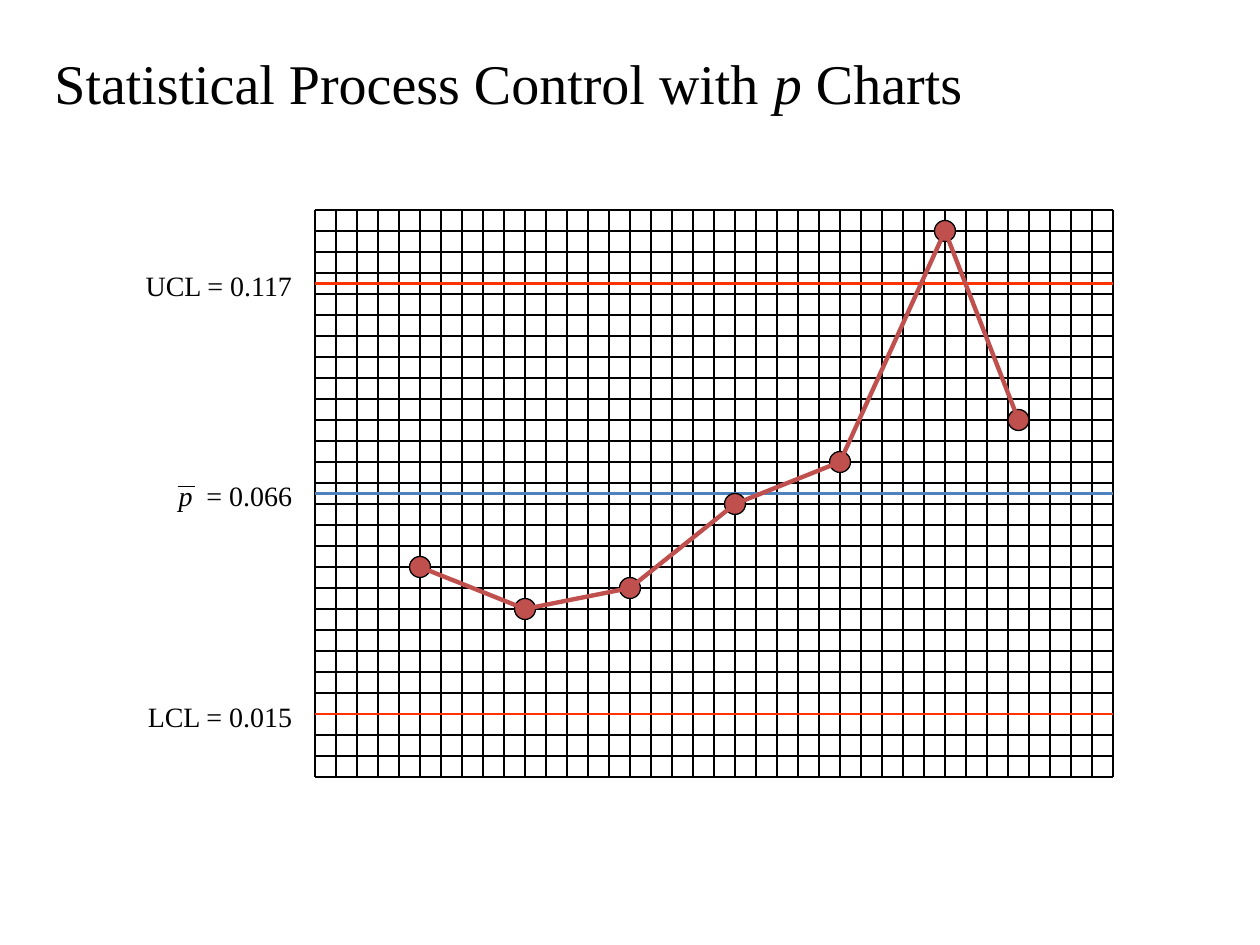
from itertools import pairwise

from lxml.etree import SubElement
from pptx import Presentation
from pptx.dml.color import RGBColor
from pptx.enum.shapes import MSO_CONNECTOR as Connector, MSO_SHAPE as Preset
from pptx.enum.text import PP_ALIGN as Align
from pptx.oxml.ns import qn
from pptx.util import Pt

BLACK = RGBColor(0x00, 0x00, 0x00)
LIMIT_RED = RGBColor(0xFF, 0x33, 0x00)
MEAN_BLUE = RGBColor(0x4F, 0x81, 0xBD)
SAMPLE_RED = RGBColor(0xC0, 0x50, 0x4D)
FONT = "Times New Roman"

CELL = 12
COLUMNS, ROWS = 38, 27
LEFT, TOP = 180, 120
RIGHT, BOTTOM = LEFT + COLUMNS * CELL, TOP + ROWS * CELL
SAMPLES = [(5, 17), (10, 19), (15, 18), (20, 14), (25, 12), (30, 1), (33.5, 10)]


def grid_point(column, row):
    """Return the position of a grid crossing in points."""
    return LEFT + column * CELL, TOP + row * CELL


def add_line(slide, start, end, color, width):
    """Draw a straight line without shadow."""
    line = slide.shapes.add_connector(
        Connector.STRAIGHT, *(Pt(value) for value in (*start, *end)))
    line.line.color.rgb = color
    line.line.width = Pt(width)
    SubElement(line._element.spPr, qn("a:effectLst"))


def add_text(slide, box, parts, size, align=Align.LEFT):
    """Write one paragraph of (text, italic) parts and return its runs."""
    frame = slide.shapes.add_textbox(*(Pt(value) for value in box)).text_frame
    frame.word_wrap = True
    paragraph = frame.paragraphs[0]
    paragraph.alignment = align
    for text, italic in parts:
        run = paragraph.add_run()
        run.text = text
        run.font.name = FONT
        run.font.size = Pt(size)
        run.font.italic = italic
        run.font.color.rgb = BLACK
    return paragraph.runs


def add_grid(slide):
    """Draw the squared background of the control chart."""
    for column in range(COLUMNS + 1):
        add_line(slide, grid_point(column, 0), grid_point(column, ROWS), BLACK, 0.75)
    for row in range(ROWS + 1):
        add_line(slide, grid_point(0, row), grid_point(COLUMNS, row), BLACK, 0.75)


def add_level(slide, row, parts, color, width):
    """Draw a horizontal control level with its label and return the label runs."""
    level = TOP + row * CELL
    add_line(slide, (LEFT, level), (RIGHT, level), color, width)
    return add_text(slide, (72, level - 12, 102, 26.6), parts, 16, Align.RIGHT)


def add_mean(slide, row):
    """Draw the mean level, with a bar over the p of its label."""
    symbol = add_level(slide, row, [("p", True), (" = 0.066", False)], MEAN_BLUE, 2)[0]
    symbol.font._element.set("spc", "400")
    bar = TOP + row * CELL - 4
    add_line(slide, (101.5, bar), (111.5, bar), BLACK, 0.75)


def add_marker(slide, center):
    """Draw the round marker of one sample."""
    x, y = center
    marker = slide.shapes.add_shape(
        Preset.OVAL, Pt(x - CELL / 2), Pt(y - CELL / 2), Pt(CELL), Pt(CELL))
    marker.shadow.inherit = False
    marker.fill.solid()
    marker.fill.fore_color.rgb = SAMPLE_RED
    marker.line.color.rgb = BLACK
    marker.line.width = Pt(0.75)


def add_samples(slide):
    """Draw the sample markers and the lines that join them."""
    centers = [grid_point(*sample) for sample in SAMPLES]
    for center in centers:
        add_marker(slide, center)
    for start, end in pairwise(centers):
        add_line(slide, start, end, SAMPLE_RED, 2.5)


def main():
    """Build the control chart slide."""
    deck = Presentation()
    deck.slide_width, deck.slide_height = Pt(720), Pt(540)
    slide = deck.slides.add_slide(deck.slide_layouts[6])
    add_grid(slide)
    add_level(slide, 24, [("LCL = 0.015", False)], LIMIT_RED, 1.25)
    add_level(slide, 3.5, [("UCL = 0.117", False)], LIMIT_RED, 1.25)
    add_mean(slide, 13.5)
    title = [("Statistical Process Control with ", False), ("p", True), (" Charts", False)]
    add_text(slide, (24, 24, 648, 45.4), title, 32)
    add_samples(slide)
    deck.save("out.pptx")


if __name__ == "__main__":
    main()
